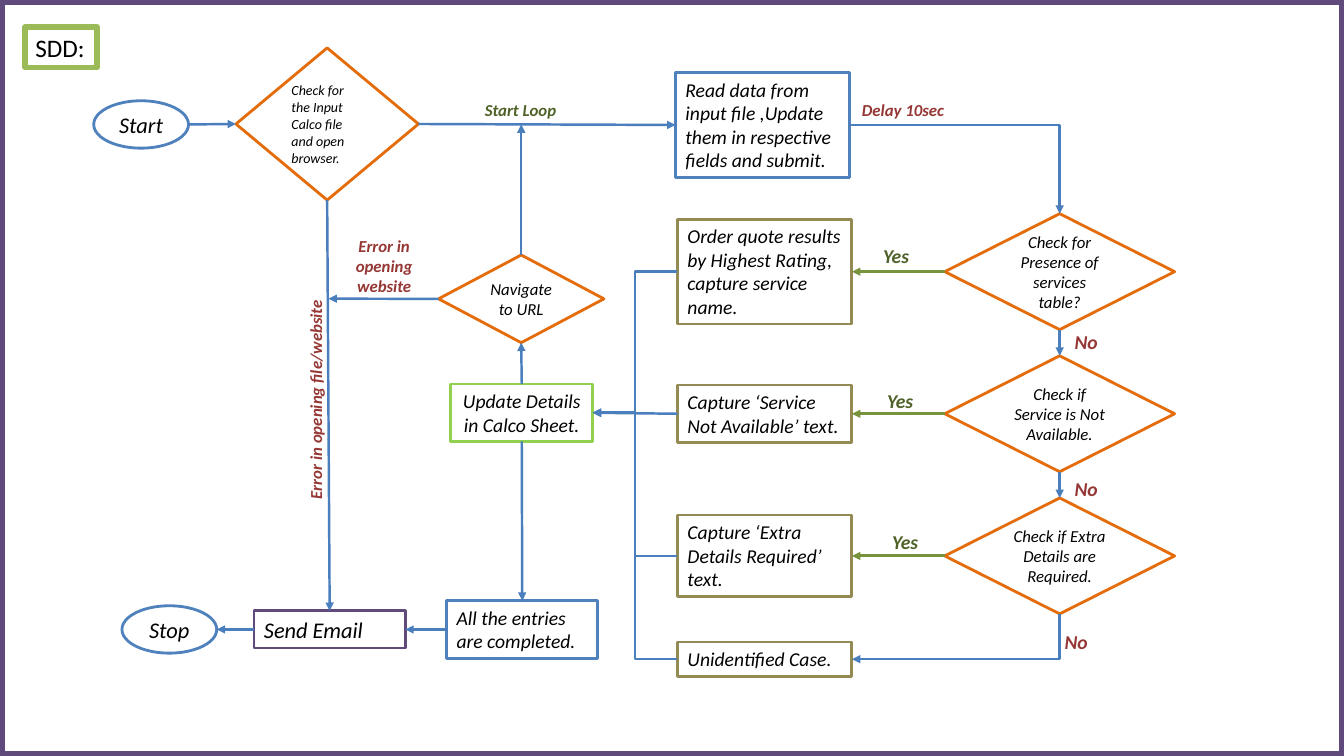
from pptx import Presentation
from pptx.dml.color import RGBColor
from pptx.enum.shapes import MSO_CONNECTOR as WIRE, MSO_SHAPE as SHAPE
from pptx.enum.text import MSO_ANCHOR as ANCHOR, MSO_AUTO_SIZE as FIT, PP_ALIGN as ALIGN
from pptx.oxml.ns import qn
from pptx.util import Inches, Pt
from lxml.etree import SubElement

BLACK = RGBColor(0x00, 0x00, 0x00)
PURPLE = RGBColor(0x60, 0x4A, 0x7B)
OLIVE = RGBColor(0x9B, 0xBB, 0x59)
LIME = RGBColor(0x92, 0xD0, 0x50)
BLUE = RGBColor(0x4F, 0x81, 0xBD)
WIRE_BLUE = RGBColor(0x4B, 0x7E, 0xBC)
ORANGE = RGBColor(0xE4, 0x6C, 0x0A)
TAN = RGBColor(0x94, 0x8A, 0x54)
GREEN = RGBColor(0x77, 0x93, 0x3C)
DARK_GREEN = RGBColor(0x4F, 0x62, 0x28)
RED = RGBColor(0x95, 0x37, 0x35)

CELL = Inches(0.1)
TOP, LEFT, BOTTOM, RIGHT = SITES = (0.5, 0), (0, 0.5), (0.5, 1), (1, 0.5)


def place(box, col, row, cols, rows):
    """Turn grid cells counted from the corner of a box into slide lengths."""
    return [int(CELL * n) for n in (box[0] + col, box[1] + row, cols, rows)]


def write(item, text, size=14, color=BLACK, bold=False, italic=True,
          align=ALIGN.LEFT, anchor=ANCHOR.TOP, wrap=True, grow=True):
    """Fill an item with one formatted paragraph."""
    frame = item.text_frame
    frame.word_wrap = wrap
    frame.vertical_anchor = anchor
    frame.auto_size = FIT.SHAPE_TO_FIT_TEXT if grow else FIT.NONE
    para = frame.paragraphs[0]
    para.alignment = align
    span = para.add_run()
    span.text = text
    font = span.font
    font.name, font.size, font.color.rgb = "Calibri", Pt(size), color
    font.bold, font.italic = bold, italic


def outline(item, color, weight=2):
    """Give an item a coloured border and no fill."""
    item.fill.background()
    item.line.color.rgb = color
    item.line.width = Pt(weight)


def node(page, kind, area, color, text="", weight=2, **style):
    """Add one outlined flowchart shape."""
    shape = page.shapes.add_shape(kind, *area)
    shape.shadow.inherit = False
    outline(shape, color, weight)
    if text:
        write(shape, text, **style)
    return shape


def centred(page, kind, area, color, text, size=12, align=ALIGN.CENTER):
    """Add a shape of fixed size with its text in the middle."""
    return node(page, kind, area, color, text, size=size, align=align,
                anchor=ANCHOR.MIDDLE, grow=False)


def label(page, area, text, color, turn=0, **style):
    """Add a bold caption beside an arrow."""
    caption = page.shapes.add_textbox(*area)
    caption.rotation = turn
    write(caption, text, color=color, bold=True, **{"wrap": False, **style})


def spot(item, share):
    """Find the point at a share of an item's width and height."""
    return (int(item.left + item.width * share[0]),
            int(item.top + item.height * share[1]))


def link(page, start, end, color=WIRE_BLUE, weight=1.75,
         kind=WIRE.STRAIGHT, corner=False, tip="a:tailEnd"):
    """Join two items with an arrow, glued where they offer a side."""
    wire = page.shapes.add_connector(kind, *spot(*start), *spot(*end))
    wire.line.color.rgb = color
    wire.line.width = Pt(weight)
    for (item, share), glue in ((start, wire.begin_connect), (end, wire.end_connect)):
        if share in SITES and item.auto_shape_type != SHAPE.OVAL:
            glue(item, SITES.index(share))
    props = wire._element.spPr
    if corner:
        props.find(qn("a:prstGeom")).set("prst", "bentConnector2")
    SubElement(props.find(qn("a:ln")), qn(tip)).set("type", "triangle")
    SubElement(props, qn("a:effectLst"))
    return wire


def add_frame(page, box):
    """Draw the page border and the bordered title."""
    node(page, SHAPE.RECTANGLE, place(box, 0, 0, 133.33, 75), PURPLE, weight=7)
    title = page.shapes.title
    title.left, title.top, title.width, title.height = place(box, 2.5, 2.7, 7.1, 4)
    outline(title, OLIVE, 4.25)
    write(title, "SDD:", size=18, italic=False, grow=False)


def add_opening(page, box):
    """Draw the start, the input check and the move to the website."""
    start = centred(page, SHAPE.OVAL, place(box, 0.3, 6, 9.4, 4.7), BLUE, "Start", 16)
    check = centred(page, SHAPE.DIAMOND, place(box, 14.4, 0.75, 18.1, 15.1), ORANGE,
                    "Check for the Input Calco file and open browser.", 10, ALIGN.LEFT)
    visit = centred(page, SHAPE.DIAMOND, place(box, 34.5, 21.3, 16.4, 8.7), ORANGE,
                    "Navigate to URL")
    link(page, (start, RIGHT), (check, LEFT))
    label(page, place(box, 38.1, 5.4, 9.2, 3), "Start Loop", DARK_GREEN, size=12)
    label(page, place(box, 10.9, 33.6, 22.8, 3), "Error in opening file/website", RED,
          turn=270, size=12)
    label(page, place(box, 24.9, 18.9, 8.4, 7.1), "Error in opening website", RED,
          size=12, align=ALIGN.CENTER, wrap=True)
    return check, visit


def add_services(page, box):
    """Draw the data entry and the ladder of service checks with their results."""
    rows = (
        ("Check for Presence of services table?",
         "Order quote results by Highest Rating, capture service name.",
         10.4, (19.6, 16.7), (38.6, 25.2)),
        ("Check if Service is Not Available.",
         "Capture ‘Service Not Available’ text.", 5.7, (20, 31.1), (38.6, 39.8)),
        ("Check if Extra Details are Required.",
         "Capture ‘Extra Details Required’ text.", 8.1, (20.5, 45.1), (37.6, 55)),
    )
    read = node(page, SHAPE.RECTANGLE, place(box, 0, 0.2, 17.3, 10.4), BLUE,
                "Read data from input file ,Update them in respective fields and submit.")
    label(page, place(box, 17.5, 2.4, 10.2, 3), "Delay 10sec", RED, size=12)
    checks, results = [], []
    for index, (question, outcome, height, yes, no) in enumerate(rows):
        middle = 19.95 + 14.1 * index
        check = centred(page, SHAPE.DIAMOND, place(box, 26.7, middle - 5.75, 22.8, 11.5),
                        ORANGE, question)
        result = node(page, SHAPE.RECTANGLE,
                      place(box, 0.2, middle - height / 2, 17.3, height), TAN, outcome)
        link(page, (check, LEFT), (result, RIGHT), GREEN, 2)
        label(page, place(box, *yes, 4.6, 3.4), "Yes", DARK_GREEN)
        label(page, place(box, *no, 4.4, 3.4), "No", RED)
        checks.append(check)
        results.append(result)
    other = node(page, SHAPE.RECTANGLE, place(box, 0.2, 56.7, 17.3, 3.4), TAN,
                 "Unidentified Case.")
    for upper, lower in zip(checks, checks[1:]):
        link(page, (upper, BOTTOM), (lower, TOP))
    link(page, (read, RIGHT), (checks[0], TOP), kind=WIRE.ELBOW, corner=True)
    link(page, (other, RIGHT), (checks[-1], BOTTOM), kind=WIRE.ELBOW, corner=True,
         tip="a:headEnd")
    return read, results + [other]


def add_finish(page, box):
    """Draw the sheet update, the closing e-mail and the stop."""
    update = centred(page, SHAPE.RECTANGLE, place(box, 32.7, 0.1, 14.1, 5.7), LIME,
                     "Update Details in Calco Sheet.", 14)
    done = node(page, SHAPE.RECTANGLE, place(box, 32.3, 21.6, 15, 5.7), BLUE,
                "All the entries are completed.")
    mail = node(page, SHAPE.RECTANGLE, place(box, 13.2, 22.6, 15, 3.7), PURPLE,
                "Send Email", size=16)
    stop = centred(page, SHAPE.OVAL, place(box, 0.1, 22.1, 9.4, 4.7), BLUE, "Stop", 16)
    link(page, (update, BOTTOM), (done, TOP))
    link(page, (done, LEFT), (mail, RIGHT))
    link(page, (mail, LEFT), (stop, RIGHT))
    return update, mail


def add_flow(page):
    """Lay out the regions and join them."""
    add_frame(page, (0, 0))
    check, visit = add_opening(page, (9, 4))
    read, results = add_services(page, (67, 7))
    update, mail = add_finish(page, (12, 38))
    loop = link(page, (check, RIGHT), (read, LEFT))
    failure = link(page, (check, BOTTOM), (mail, TOP))
    link(page, (update, TOP), (visit, BOTTOM))
    link(page, (visit, TOP), (loop, (0.4, 0.5)))
    link(page, (visit, LEFT), (failure, (0.5, 0.24)))
    for result in results:
        level = abs(spot(result, LEFT)[1] - spot(update, RIGHT)[1]) < CELL
        link(page, (result, LEFT), (update, RIGHT),
             kind=WIRE.STRAIGHT if level else WIRE.ELBOW)


deck = Presentation()
deck.slide_width, deck.slide_height = Inches(13.33), Inches(7.5)
add_flow(deck.slides.add_slide(deck.slide_layouts[5]))
deck.save("out.pptx")
